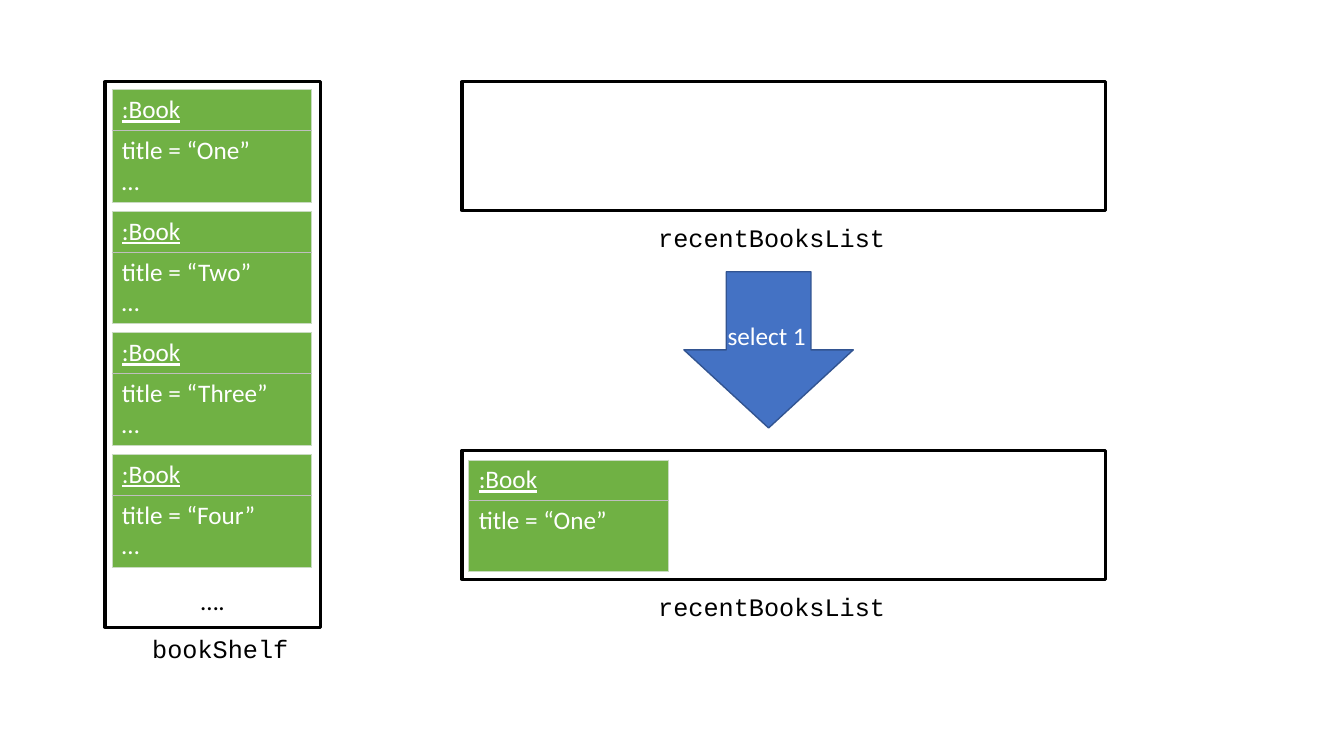
from lxml import etree
from pptx import Presentation
from pptx.dml.color import RGBColor
from pptx.enum import shapes, text
from pptx.oxml import ns
from pptx.util import Pt

GREEN, BLUE, NAVY = "70B144", "4472C4", "325491"
PALE, GREY, BLACK, WHITE = "C9DBC1", "BFBFBF", "000000", "FFFFFF"

SHELF = (75, 58.4, 154, 389.6)
LISTS = [(330, 58.4, 459.4, 92), (330, 321.8, 459.4, 92)]
LABELS = [
    ("recentBooksList", 454.3, 155.5),
    ("bookShelf", 60.5, 448.6),
    ("recentBooksList", 454.3, 419),
]
ARROW = (493.2, 189.4, 111.6, 121)
SHELF_TITLES = ["One", "Two", "Three", "Four"]
SHELF_LEFT, SHELF_TOP, BOOK_STEP = 79.9, 64.1, 86.8
SELECTED_LEFT, SELECTED_TOP = 334.8, 328.5
BOOK_WIDTH, HEADER_HEIGHT, BODY_HEIGHT = 142.6, 28.8, 50.4


def color(value):
    return RGBColor.from_string(value)


def style(frame, font_color, font_name="Calibri", underline=False):
    for para in frame.paragraphs:
        for span in para.runs:
            span.font.size = Pt(18)
            span.font.name = font_name
            span.font.color.rgb = color(font_color)
            span.font.bold = False
            span.font.underline = underline


def add_block(page, kind, place, fill, line, weight):
    block = page.shapes.add_shape(kind, *map(Pt, place))
    block.shadow.inherit = False
    block.fill.solid()
    block.fill.fore_color.rgb = color(fill)
    block.line.color.rgb = color(line)
    block.line.width = Pt(weight)
    return block


def add_label(page, words, place, font_color, font_name, align, wrap):
    box = page.shapes.add_textbox(*map(Pt, place))
    frame = box.text_frame
    frame.word_wrap = wrap
    frame.text = words
    frame.paragraphs[0].alignment = align
    style(frame, font_color, font_name)


def set_borders(cell, borders):
    properties = cell._tc.get_or_add_tcPr()
    for index, (side, (value, weight)) in enumerate(borders.items()):
        line = etree.Element(ns.qn(f"a:ln{side}"), w=str(Pt(weight)))
        fill = etree.SubElement(line, ns.qn("a:solidFill"))
        etree.SubElement(fill, ns.qn("a:srgbClr"), val=value)
        properties.insert(index, line)


def add_book(page, left, top, body):
    place = (left, top, BOOK_WIDTH, HEADER_HEIGHT + BODY_HEIGHT)
    table = page.shapes.add_table(2, 1, *map(Pt, place)).table
    table.horz_banding = False
    outer, divider = (PALE, 0.5), (GREY, 1)
    rows = [
        (":Book", HEADER_HEIGHT, True, outer, divider),
        (body, BODY_HEIGHT, False, divider, outer),
    ]
    for index, (words, height, underline, above, below) in enumerate(rows):
        table.rows[index].height = Pt(height)
        cell = table.cell(index, 0)
        cell.text_frame.text = words
        style(cell.text_frame, WHITE, underline=underline)
        cell.fill.solid()
        cell.fill.fore_color.rgb = color(GREEN)
        set_borders(cell, {"L": outer, "R": outer, "T": above, "B": below})


def main():
    deck = Presentation()
    deck.slide_width, deck.slide_height = Pt(960), Pt(540)
    page = deck.slides.add_slide(deck.slide_layouts[6])
    rectangle = shapes.MSO_SHAPE.RECTANGLE

    for place in LISTS:
        add_block(page, rectangle, place, WHITE, BLACK, 2.25)

    shelf = add_block(page, rectangle, SHELF, WHITE, BLACK, 2.25)
    frame = shelf.text_frame
    frame.text = "…."
    frame.vertical_anchor = text.MSO_ANCHOR.BOTTOM
    frame.margin_bottom = Pt(8)
    frame.paragraphs[0].alignment = text.PP_ALIGN.CENTER
    style(frame, BLACK)

    for index, title in enumerate(SHELF_TITLES):
        top = SHELF_TOP + index * BOOK_STEP
        add_book(page, SHELF_LEFT, top, f"title = “{title}”\n…")
    add_book(page, SELECTED_LEFT, SELECTED_TOP, f"title = “{SHELF_TITLES[0]}”")

    for words, left, top in LABELS:
        add_label(page, words, (left, top, 193.7, 29), BLACK,
                  "Courier New", text.PP_ALIGN.CENTER, True)

    arrow = add_block(page, shapes.MSO_SHAPE.RIGHT_ARROW, ARROW, BLUE, NAVY, 1)
    arrow.rotation = 90
    add_label(page, "select 1", (512.6, 225.4, 71.3, 29), WHITE,
              "Calibri", text.PP_ALIGN.LEFT, False)

    deck.save("out.pptx")


if __name__ == "__main__":
    main()
